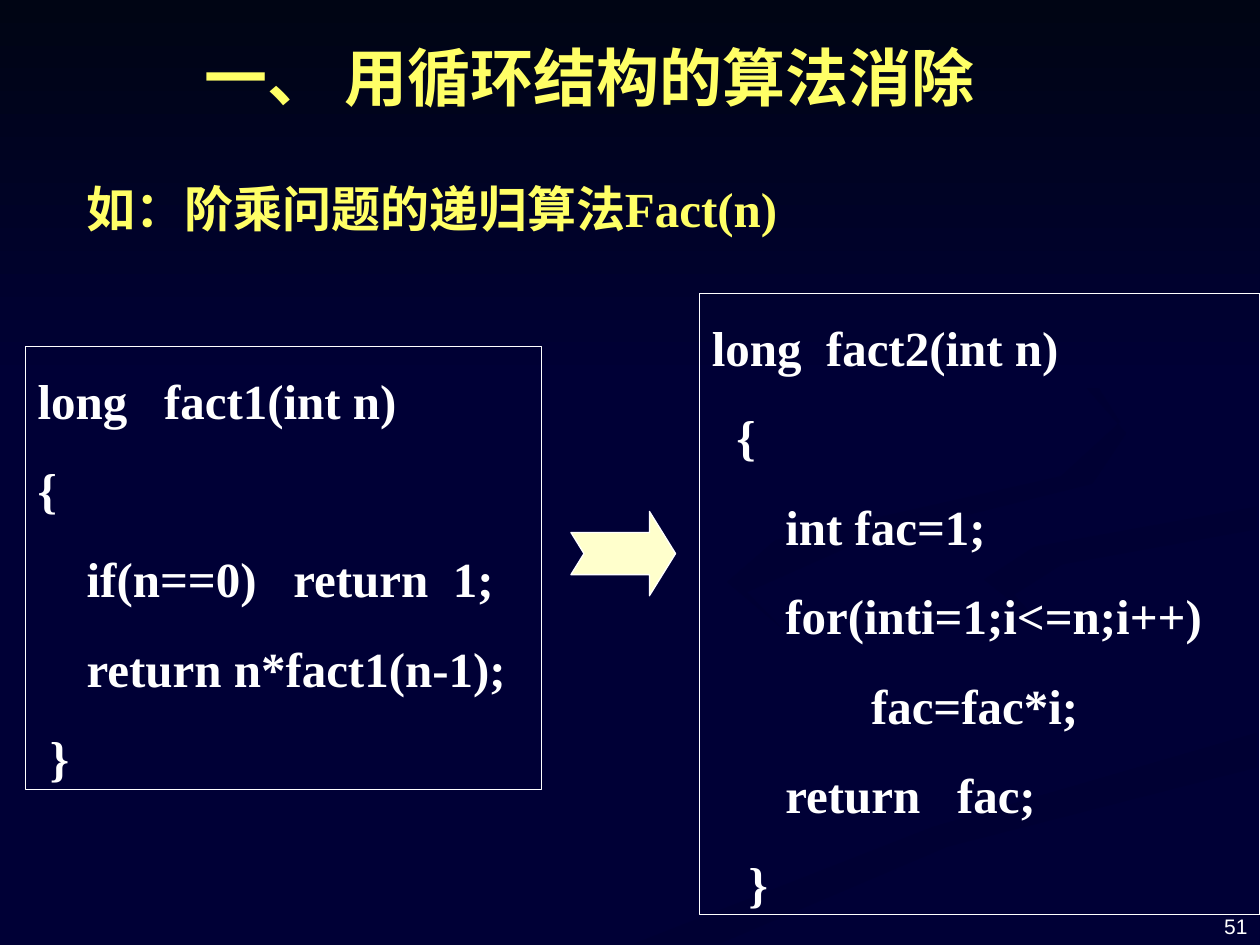
"""Build the slide on replacing the recursive factorial with a loop."""
import pptx
import pptx.util
from pptx.dml.color import RGBColor
from pptx.enum.shapes import MSO_SHAPE
from pptx.enum.text import MSO_ANCHOR, MSO_AUTO_SIZE, PP_ALIGN
from pptx.util import Cm, Pt

NAVY = RGBColor(0x00, 0x00, 0x36)
DEEP_NAVY = RGBColor(0x00, 0x00, 0x33)
NIGHT = RGBColor(0x00, 0x05, 0x14)
YELLOW = RGBColor(0xFF, 0xFF, 0x66)
CREAM = RGBColor(0xFF, 0xFF, 0xCC)
WHITE = RGBColor(0xFF, 0xFF, 0xFF)

SERIF, SANS = "Times New Roman", "Arial"
CODE_SIZE = 28
SPACE_WIDTH = CODE_SIZE / 4
SWOOSH_UNIT = Cm(0.0254)

TITLE = "一、 用循环结构的算法消除"
EXAMPLE = "如：阶乘问题的递归算法Fact(n)"
PAGE = "51"

LOOP_CODE = [
    (0, "long", 2, "fact2(int n)"),
    (2, "{"),
    (6, "int fac=1;"),
    (6, "for(inti=1;i<=n;i++)"),
    (13, "fac=fac*i;"),
    (6, "return", 3, "fac;"),
    (3, "}"),
]
RECURSIVE_CODE = [
    (0, "long", 3, "fact1(int n)"),
    (0, "{"),
    (4, "if(n==0)", 3, "return", 2, "1;"),
    (4, "return n*fact1(n-1);"),
    (1, "}"),
]
CODE_BOXES = [
    ((14.1, 5.92, 11.3, 12.52), LOOP_CODE),
    ((0.51, 6.98, 10.41, 8.94), RECURSIVE_CODE),
]

SWOOSHES = [
    (NAVY, DEEP_NAVY, 0, [
        (781, 553), (602, 490), (575, 459), (593, 491), (786, 566),
        (727, 602), (300, 749), (361, 749), (756, 614), (800, 581)]),
    (NAVY, DEEP_NAVY, 45, [
        (943, 570), (888, 535), (745, 490), (724, 464), (766, 512),
        (900, 557), (918, 581), (894, 605)]),
    (DEEP_NAVY, NAVY, 90, [
        (503, 749), (571, 749), (752, 672), (998, 609), (998, 581),
        (764, 647)]),
    (NAVY, NAVY, 0, [
        (725, 464), (759, 498), (920, 547), (931, 590), (663, 668),
        (477, 749), (503, 749), (696, 669), (999, 581), (999, 538),
        (817, 492), (782, 460), (835, 430), (999, 387), (788, 422)]),
    (DEEP_NAVY, NAVY, 45, [
        (781, 460), (826, 496), (805, 472), (843, 448), (998, 420),
        (998, 402), (821, 434)]),
    (DEEP_NAVY, NAVY, 45, [
        (683, 430), (867, 384), (894, 344), (821, 261), (762, 233),
        (862, 292), (889, 335), (842, 378), (615, 429), (577, 462),
        (622, 500), (593, 470)]),
    (NIGHT, NAVY, 90, [(0, 0), (0, 308), (1000, 308), (1000, 0)]),
]


def add_swoosh(slide, first, last, angle, outline):
    builder = slide.shapes.build_freeform(*outline[0], scale=SWOOSH_UNIT)
    builder.add_line_segments(outline[1:], close=True)
    swoosh = builder.convert_to_shape()
    swoosh.shadow.inherit = False
    swoosh.line.fill.background()
    if first == last:
        swoosh.fill.solid()
        swoosh.fill.fore_color.rgb = first
        return
    swoosh.fill.gradient()
    swoosh.fill.gradient_angle = -angle % 360
    for stop, color in zip(swoosh.fill.gradient_stops, (first, last)):
        stop.color.rgb = color


def add_outlined(slide, preset, place):
    outlined = slide.shapes.add_shape(preset, *map(Cm, place))
    outlined.shadow.inherit = False
    outlined.line.color.rgb = WHITE
    outlined.line.width = Pt(0.75)
    outlined.fill.background()
    return outlined


def style(run, size, color, font=SERIF, bold=True):
    run.font.size = Pt(size)
    run.font.name = font
    run.font.bold = bold
    run.font.color.rgb = color


def space_line(paragraph):
    paragraph.alignment = PP_ALIGN.JUSTIFY
    paragraph.line_spacing = 1.3
    paragraph.space_before = Pt(7.4)


def add_label(slide, place, text, size, color, align, anchor, **font):
    label = slide.shapes.add_textbox(*map(Cm, place))
    frame = label.text_frame
    frame.word_wrap = True
    frame.vertical_anchor = anchor
    frame.text = text
    paragraph = frame.paragraphs[0]
    paragraph.alignment = align
    style(paragraph.runs[0], size, color, **font)
    return paragraph


def add_code(slide, place, lines):
    frame = add_outlined(slide, MSO_SHAPE.RECTANGLE, place).text_frame
    frame.word_wrap = True
    frame.auto_size = MSO_AUTO_SIZE.SHAPE_TO_FIT_TEXT
    frame.vertical_anchor = MSO_ANCHOR.TOP
    for number, (indent, *parts) in enumerate(lines):
        paragraph = frame.add_paragraph() if number else frame.paragraphs[0]
        space_line(paragraph)
        properties = paragraph._p.get_or_add_pPr()
        properties.set("marL", str(Pt(indent * SPACE_WIDTH)))
        properties.set("indent", "0")
        for part in parts:
            run = paragraph.add_run()
            is_gap = isinstance(part, int)
            run.text = " " if is_gap else part
            style(run, CODE_SIZE, WHITE)
            if is_gap:
                extra = int((part - 1) * SPACE_WIDTH * 100)
                run._r.get_or_add_rPr().set("spc", str(extra))


def main():
    deck = pptx.Presentation()
    deck.slide_width, deck.slide_height = Cm(25.4), Cm(19.05)
    slide = deck.slides.add_slide(deck.slide_layouts[6])
    slide.background.fill.solid()
    slide.background.fill.fore_color.rgb = NAVY

    for swoosh in SWOOSHES:
        add_swoosh(slide, *swoosh)
    add_label(slide, (19.48, 17.73, 5.92, 1.32), PAGE, 12, WHITE,
              PP_ALIGN.RIGHT, MSO_ANCHOR.BOTTOM, font=SANS, bold=False)
    add_label(slide, (1.09, 0.91, 21.59, 1.27), TITLE, 36, YELLOW,
              PP_ALIGN.CENTER, MSO_ANCHOR.MIDDLE)
    space_line(add_label(slide, (1.5, 3.12, 22.66, 1.8), EXAMPLE, CODE_SIZE,
                         YELLOW, PP_ALIGN.JUSTIFY, MSO_ANCHOR.TOP))
    for place, lines in CODE_BOXES:
        add_code(slide, place, lines)

    arrow = add_outlined(slide, MSO_SHAPE.NOTCHED_RIGHT_ARROW,
                         (11.51, 10.31, 2.11, 1.7))
    arrow.adjustments[0], arrow.adjustments[1] = 0.5, 0.31
    arrow.fill.solid()
    arrow.fill.fore_color.rgb = CREAM

    deck.save("out.pptx")


if __name__ == "__main__":
    main()
